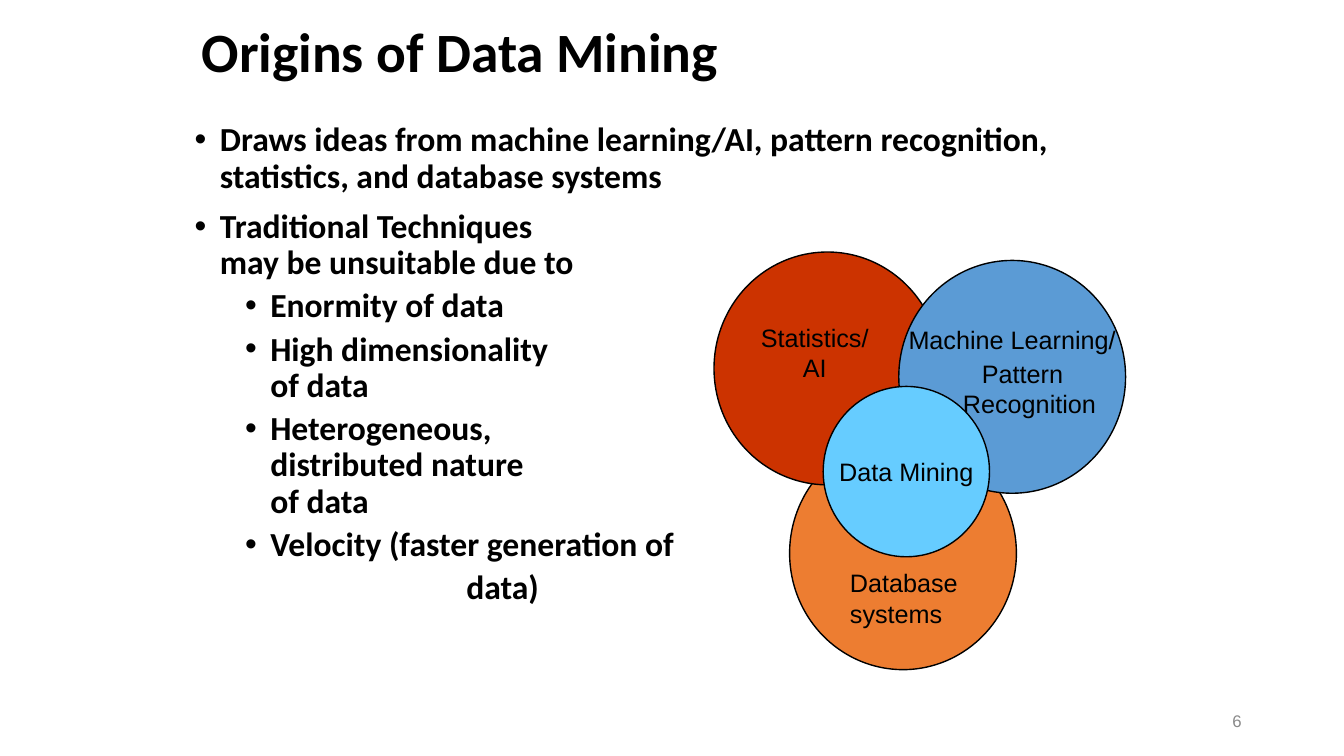
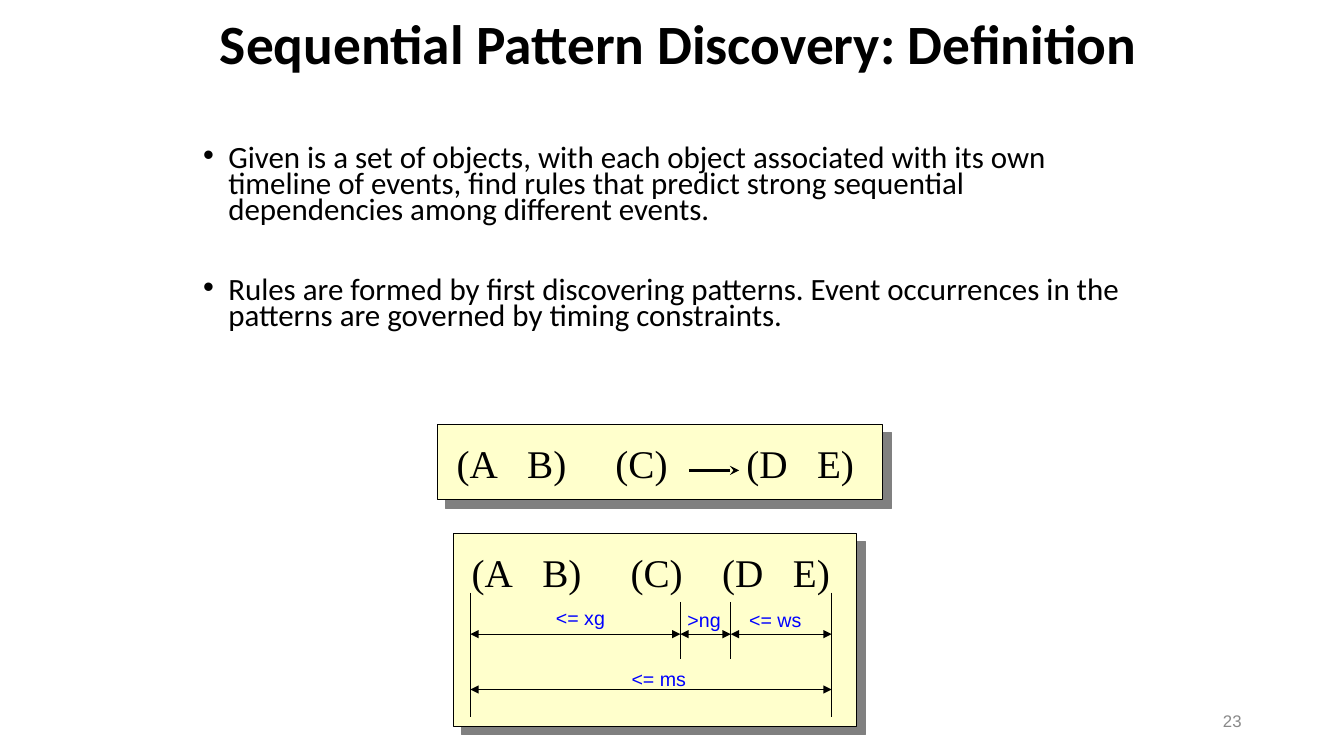
from lxml import etree
from pptx import Presentation
from pptx import util as u
from pptx.dml.color import RGBColor
from pptx.enum import shapes, text
from pptx.oxml import ns

Pt = u.Pt
BLACK = RGBColor(0, 0, 0)
GREY = RGBColor(0x89, 0x89, 0x89)
BLUE = RGBColor(0, 0, 0xFF)
CREAM = RGBColor(0xFF, 0xFF, 0xCC)
ORANGE = RGBColor(0xED, 0x7D, 0x31)
RED = RGBColor(0xCC, 0x33, 0)
STEEL = RGBColor(0x5B, 0x9B, 0xD5)
SKY = RGBColor(0x66, 0xCC, 0xFF)
SHADOW = RGBColor(0x80, 0x80, 0x80)
LEFT, CENTER, RIGHT = text.PP_ALIGN.LEFT, text.PP_ALIGN.CENTER, text.PP_ALIGN.RIGHT
TOP, MIDDLE = text.MSO_ANCHOR.TOP, text.MSO_ANCHOR.MIDDLE


def add_xml(parent, tag, **attributes):
    return etree.SubElement(parent, ns.qn(tag), attributes)


def write(frame, words, size=18, face="Arial", color=BLACK, bold=False, align=LEFT,
          spacing=None, before=0, margin=0, bullet=False):
    para = frame.paragraphs[0] if not frame.text else frame.add_paragraph()
    para.text = words.replace("\n", "\v")
    para.alignment = align
    para.space_before = Pt(before)
    if spacing:
        para.line_spacing = spacing
    for span in para.runs:
        span.font.size = Pt(size)
        span.font.name = face
        span.font.bold = bold
        span.font.color.rgb = color
    layout = para._p.get_or_add_pPr()
    layout.set("marL", str(Pt(margin)))
    layout.set("indent", str(Pt(-18 if bullet else 0)))
    if bullet:
        add_xml(layout, "a:buFont", typeface="Arial")
        add_xml(layout, "a:buChar", char="\u2022")


class Slides:
    def __init__(self):
        self.deck = Presentation()
        self.deck.slide_width, self.deck.slide_height = Pt(960), Pt(540)
        self.page = None

    def start(self, number):
        self.page = self.deck.slides.add_slide(self.deck.slide_layouts[6])
        frame = self.box(678, 500.4, 216, 28.8, anchor=MIDDLE)
        write(frame, number, size=12, color=GREY, align=RIGHT)

    def box(self, left, top, width, height, anchor=TOP, side=7.2):
        frame = self.page.shapes.add_textbox(Pt(left), Pt(top), Pt(width), Pt(height)).text_frame
        frame.word_wrap = True
        frame.vertical_anchor = anchor
        frame.margin_left = frame.margin_right = Pt(side)
        return frame

    def title(self, words, left, top, width, side=7.2):
        frame = self.box(left, top, width, 41.8, MIDDLE, side)
        write(frame, words, size=39.6, face="Calibri", bold=True, spacing=0.9)

    def label(self, words, left, top, width, height=24, **style):
        write(self.box(left, top, width, height), words, **style)

    def events(self, left, top, consequent):
        offsets = (0, 50.5, 113.5, consequent, consequent + 50.5)
        for event, offset in zip(("(A", "B)", "(C)", "(D", "E)"), offsets):
            self.label(event, left + offset, top, 60, 41, size=28, face="Times New Roman")

    def shape(self, kind, left, top, width, height, fill, line=1):
        shape = self.page.shapes.add_shape(kind, Pt(left), Pt(top), Pt(width), Pt(height))
        shape.shadow.inherit = False
        shape.fill.solid()
        shape.fill.fore_color.rgb = fill
        shape.line.color.rgb = BLACK
        shape.line.width = Pt(line)
        return shape

    def circle(self, left, top, width, height, fill):
        return self.shape(shapes.MSO_SHAPE.OVAL, left, top, width, height, fill)

    def card(self, left, top, width, height):
        card = self.shape(shapes.MSO_SHAPE.RECTANGLE, left, top, width, height, CREAM, 0.75)
        effects = card.element.spPr.find(ns.qn("a:effectLst"))
        shadow = add_xml(effects, "a:outerShdw", dist=str(Pt(8.5)), dir="2700000",
                         algn="ctr", rotWithShape="0")
        add_xml(shadow, "a:srgbClr", val=str(SHADOW))

    def line(self, x1, y1, x2, y2, width=0.75, head=None, tail=None):
        line = self.page.shapes.add_connector(
            shapes.MSO_CONNECTOR.STRAIGHT, Pt(x1), Pt(y1), Pt(x2), Pt(y2))
        line.line.color.rgb = BLACK
        line.line.width = Pt(width)
        properties = line.element.spPr
        outline = properties.find(ns.qn("a:ln"))
        for tag, arrow in (("a:headEnd", head), ("a:tailEnd", tail)):
            if arrow:
                add_xml(outline, tag, type=arrow)
        add_xml(properties, "a:effectLst")


def build_origins(slides):
    slides.start("6")
    slides.title("Origins of Data Mining", 144, 18, 652.3, side=0)
    body = slides.box(132, 84.2, 696.2, 432)
    strong = dict(size=24, face="Calibri", bold=True, spacing=0.9)
    for words in ("Draws ideas from machine learning/AI, pattern recognition, "
                  "statistics, and database systems",
                  "Traditional Techniques\nmay be unsuitable due to"):
        write(body, words, before=10, margin=18, bullet=True, **strong)
    for words in ("Enormity of data", "High dimensionality\nof data",
                  "Heterogeneous,\ndistributed nature\nof data",
                  "Velocity (faster generation of"):
        write(body, words, before=5, margin=54, bullet=True, **strong)
    write(body, "data)", before=5, margin=194, **strong)

    for left, top, fill in ((564, 312, ORANGE), (510, 180, RED), (642, 186, STEEL)):
        slides.circle(left, top, 162, 166.3, fill)
    learning = slides.box(649, 227.8, 167.8, 75.6, side=0)
    write(learning, "Machine Learning/")
    write(learning, "Pattern \n Recognition", align=CENTER, before=3)
    slides.label("Statistics/\nAI", 528, 226.8, 108, 50.4, align=CENTER)
    mining = slides.circle(588, 276, 118.8, 121.7, SKY).text_frame
    mining.word_wrap = False
    mining.vertical_anchor = MIDDLE
    write(mining, "Data Mining", align=CENTER)
    slides.label("Database systems", 600, 402, 113.8, 50.4)


def build_sequences(slides):
    slides.start("23")
    slides.title("Sequential Pattern Discovery: Definition", 150, 12, 690)
    body = slides.box(138, 102, 673.2, 144.7)
    for words, before in (
            ("Given is a set of objects, with each object associated with its own timeline "
             "of events, find rules that predict strong sequential dependencies among "
             "different events.", 10),
            ("Rules are formed by first discovering patterns. Event occurrences in the "
             "patterns are governed by timing constraints.", 38.5)):
        write(body, words, size=22.1, face="Calibri", spacing=0.7, before=before,
              margin=18, bullet=True)

    slides.card(324, 381, 288, 138)
    slides.events(329.8, 388, consequent=179)
    for words, left, top in (("<= ms", 444, 472.5), ("<= xg", 390, 429),
                             (">ng", 484, 430.6), ("<= ws", 528, 430.6)):
        slides.label(words, left, top, 60, size=14, color=BLUE)
    first, gap, window, last = 336, 486, 522, 594
    for start, end, y in ((first, last, 492.5), (first, gap, 453),
                          (gap, window, 453), (window, last, 453)):
        slides.line(start, y, end, y, head="triangle", tail="triangle")
    for x in (first, last):
        slides.line(x, 423.4, x, 512)
    for x in (gap, window):
        slides.line(x, 430, x, 471)

    slides.card(312.5, 303, 318.2, 54)
    slides.events(319, 310, consequent=207)
    slides.line(492, 336, 528, 336, width=2.25, tail="stealth")


slides = Slides()
build_origins(slides)
build_sequences(slides)
slides.deck.save("out.pptx")
